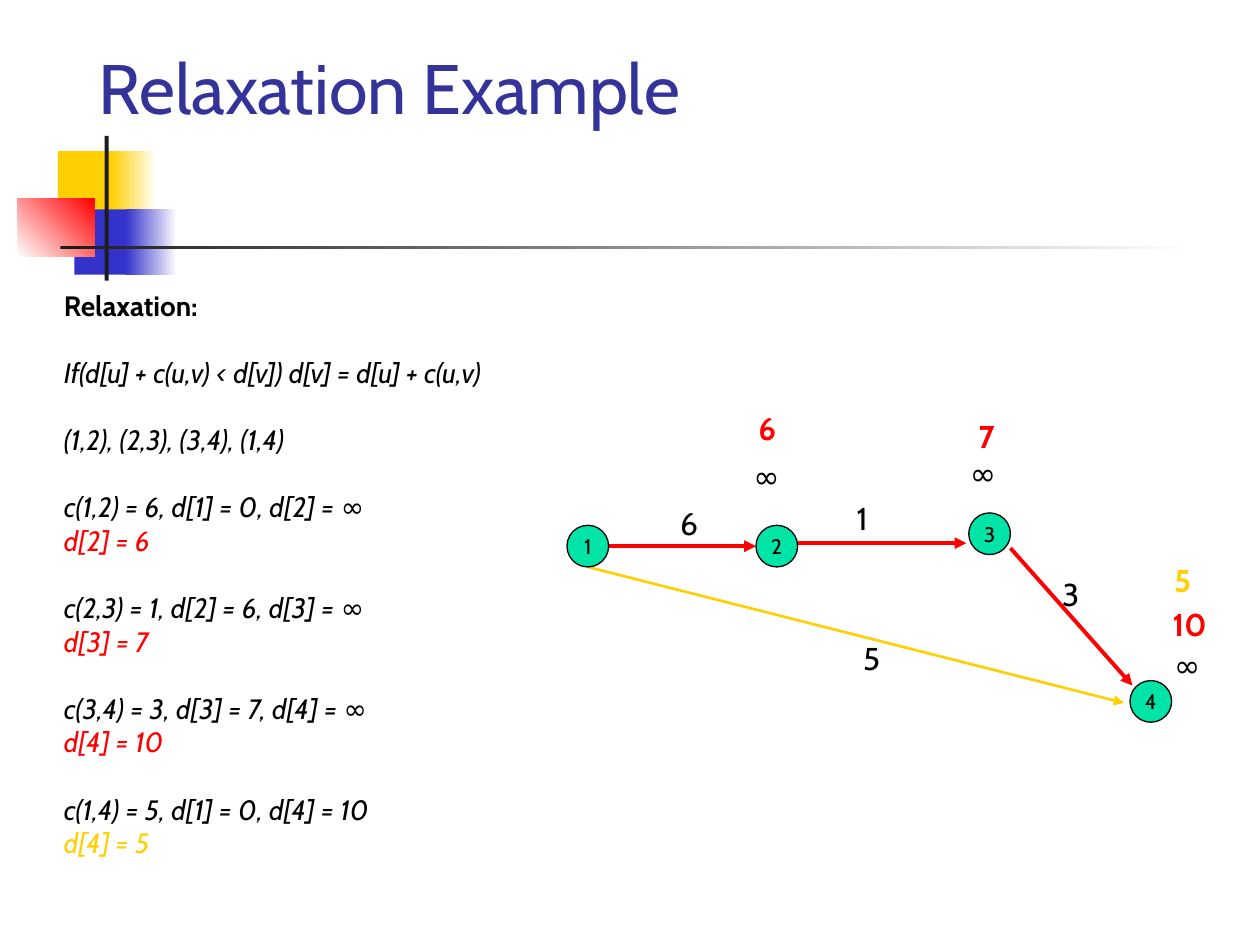
from pptx import Presentation
from pptx.dml.color import RGBColor
from pptx.enum.shapes import MSO_CONNECTOR as Line, MSO_SHAPE as Kind
from pptx.enum.text import MSO_ANCHOR as Anchor, MSO_AUTO_SIZE as Fit, PP_ALIGN as Align
from pptx.oxml.ns import qn
from pptx.util import Cm, Pt
from lxml.etree import SubElement

BLACK, WHITE, DARK = "000000", "FFFFFF", "1C1C1C"
RED, GOLD, BLUE, GREEN = "FF0000", "FFCF01", "3333CC", "00E4A8"


def rgb(code):
    return RGBColor.from_string(code)


def style(para, size, color=BLACK, bold=False, italic=False):
    font = para.font
    font.name, font.size = "Cabin", Pt(size)
    font.bold, font.italic = bold, italic
    font.color.rgb = rgb(color)


deck = Presentation()
deck.slide_width, deck.slide_height = Cm(25.4), Cm(19.05)
slide = deck.slides.add_slide(deck.slide_layouts[5])
shapes = slide.shapes

# Corner ornament: left, top, width, height, start colour, end colour, angle
for x, y, w, h, first, last, angle in [
    (1.17, 3.05, 1.22, 1.32, GOLD, None, 0),
    (2.24, 3.05, 0.91, 1.32, GOLD, WHITE, 0),
    (1.5, 4.22, 1.17, 1.32, BLUE, None, 0),
    (2.54, 4.22, 1.02, 1.32, BLUE, WHITE, 0),
    (0.36, 4.01, 1.55, 1.17, WHITE, RED, 45),
    (2.11, 2.74, 0.08, 2.92, DARK, None, 0),
    (1.22, 4.95, 22.86, 0.08, DARK, WHITE, 0),
]:
    bar = shapes.add_shape(Kind.RECTANGLE, Cm(x), Cm(y), Cm(w), Cm(h))
    bar.shadow.inherit = False
    bar.line.fill.background()
    if last:
        bar.fill.gradient()
        bar.fill.gradient_angle = angle
        for stop, color, pos in zip(bar.fill.gradient_stops, (first, last), (0, 1)):
            stop.color.rgb = rgb(color)
            stop.position = pos
    else:
        bar.fill.solid()
        bar.fill.fore_color.rgb = rgb(first)

title = shapes.title
title.left, title.top, title.width, title.height = Cm(1.73), Cm(1.57), Cm(21.59), Cm(1.14)
frame = title.text_frame
frame.text = "Relaxation Example"
frame.auto_size, frame.vertical_anchor = Fit.NONE, Anchor.BOTTOM
frame.paragraphs[0].alignment = Align.LEFT
style(frame.paragraphs[0], 40, "333399")

# Edges of the graph
for x1, y1, x2, y2, color, width in [
    (12.27, 11.01, 15.24, 11.01, RED, 2.25),
    (11.85, 11.43, 22.66, 14.17, GOLD, 1.5),
    (16.09, 10.95, 19.48, 10.95, RED, 2.25),
    (20.37, 11.05, 22.83, 13.82, RED, 2.25),
]:
    edge = shapes.add_connector(Line.STRAIGHT, Cm(x1), Cm(y1), Cm(x2), Cm(y2))
    edge.line.color.rgb = rgb(color)
    edge.line.width = Pt(width)
    SubElement(edge.line._get_or_add_ln(), qn("a:tailEnd"), type="triangle")
    SubElement(edge._element.spPr, qn("a:effectLst"))

# Nodes, numbered from 1
spots = [(11.43, 10.59), (15.24, 10.59), (19.53, 10.34), (22.78, 13.72)]
for num, (x, y) in enumerate(spots, 1):
    node = shapes.add_shape(Kind.OVAL, Cm(x), Cm(y), Cm(0.84), Cm(0.84))
    node.shadow.inherit = False
    node.fill.solid()
    node.fill.fore_color.rgb = rgb(GREEN)
    node.line.color.rgb = rgb(BLACK)
    node.line.width = Pt(0.75)
    frame = node.text_frame
    frame.text = str(num)
    frame.word_wrap, frame.vertical_anchor = False, Anchor.MIDDLE
    frame.paragraphs[0].alignment = Align.CENTER
    style(frame.paragraphs[0], 12)

# Edge costs in plain black, distances in bold colour
wide = {"10": 1.22, "∞": 1.04}
for text, x, y, color in [
    ("6", 13.46, 10.03, BLACK), ("1", 17.02, 9.93, BLACK),
    ("3", 21.16, 11.46, BLACK), ("5", 17.15, 12.75, BLACK),
    ("∞", 14.94, 9.09, BLACK), ("∞", 19.3, 9.02, BLACK), ("∞", 23.42, 12.9, BLACK),
    ("6", 15.04, 8.13, RED), ("7", 19.48, 8.28, RED),
    ("10", 23.39, 12.07, RED), ("5", 23.42, 11.18, GOLD),
]:
    label = shapes.add_textbox(Cm(x), Cm(y), Cm(wide.get(text, 0.86)), Cm(1.02))
    frame = label.text_frame
    frame.text = text
    frame.word_wrap, frame.auto_size = False, Fit.SHAPE_TO_FIT_TEXT
    style(frame.paragraphs[0], 18, color, bold=color != BLACK, italic=text == "∞")

# Worked steps: each black line opens a new group, its result follows in colour
steps = [
    ("Relaxation:", BLACK),
    ("If(d[u] + c(u,v) < d[v]) d[v] = d[u] + c(u,v)", BLACK),
    ("(1,2), (2,3), (3,4), (1,4)", BLACK),
    ("c(1,2) = 6, d[1] = 0, d[2] = ∞", BLACK),
    ("d[2] = 6", RED),
    ("c(2,3) = 1, d[2] = 6, d[3] = ∞", BLACK),
    ("d[3] = 7", RED),
    ("c(3,4) = 3, d[3] = 7, d[4] = ∞", BLACK),
    ("d[4] = 10", RED),
    ("c(1,4) = 5, d[1] = 0, d[4] = 10", BLACK),
    ("d[4] = 5", GOLD),
]
frame = shapes.add_textbox(Cm(1.04), Cm(5.69), Cm(10.95), Cm(12.45)).text_frame
frame.word_wrap = True
frame.text = "\n".join(text for text, color in steps)
for row, (para, (text, color)) in enumerate(zip(frame.paragraphs, steps)):
    style(para, 16, color, bold=row == 0, italic=row > 0)
    if row and color == BLACK:
        para.space_before = Pt(19.2)

deck.save("out.pptx")
